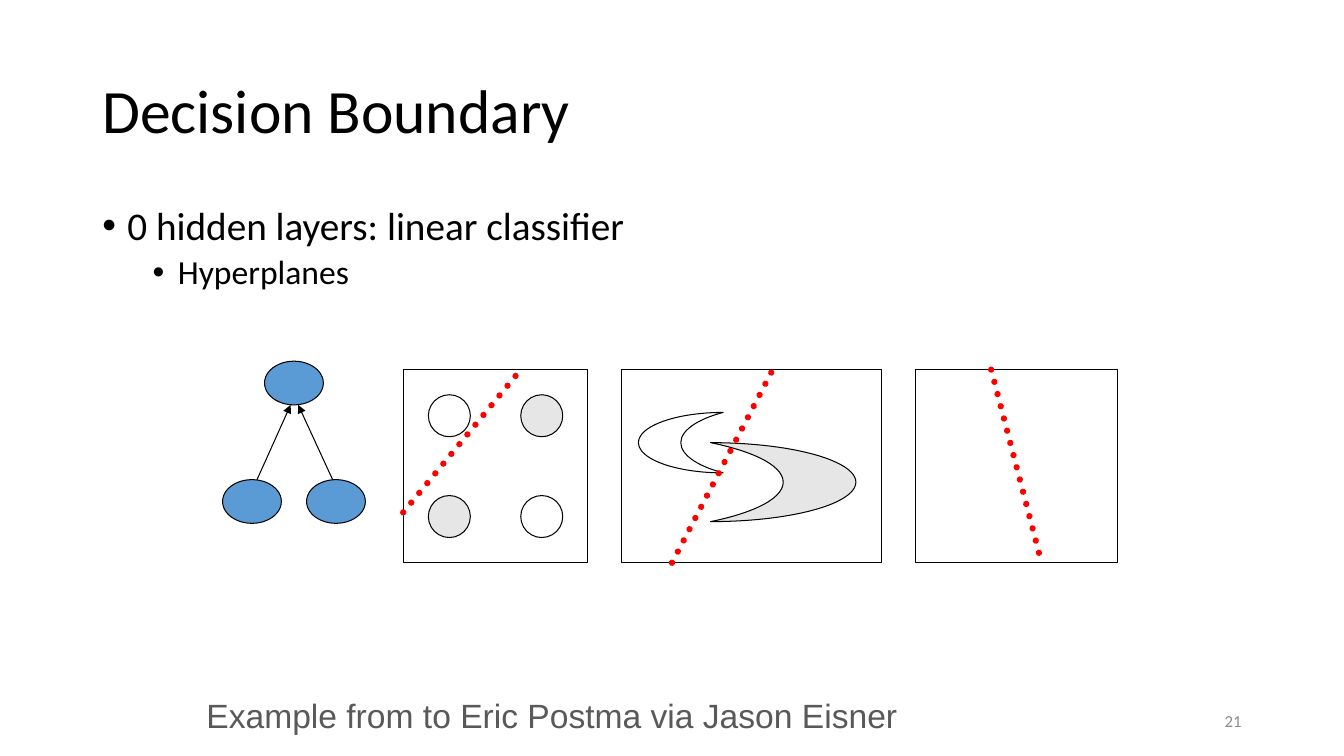
"""Build the decision boundary slide on a grid of twelve cells per inch."""
from dataclasses import dataclass

import pptx
import pptx.dml.color
import pptx.enum.dml
import pptx.enum.shapes
import pptx.enum.text
import pptx.oxml
import pptx.oxml.ns
import pptx.util

RGBColor = pptx.dml.color.RGBColor
Shapes = pptx.enum.shapes.MSO_SHAPE
Anchor = pptx.enum.text.MSO_ANCHOR
Align = pptx.enum.text.PP_ALIGN
Dash = pptx.enum.dml.MSO_LINE

BLACK = RGBColor(0x00, 0x00, 0x00)
WHITE = RGBColor(0xFF, 0xFF, 0xFF)
BLUE = RGBColor(0x5B, 0x9B, 0xD5)
PALE_GRAY = RGBColor(0xE7, 0xE6, 0xE6)
RED = RGBColor(0xFF, 0x00, 0x00)
CREDIT_GRAY = RGBColor(0x59, 0x59, 0x59)
NUMBER_GRAY = RGBColor(0x8C, 0x8C, 0x8C)

COLUMNS, ROWS = 160, 90
PANEL_TOP, PANEL_ROWS = 44, 23
PANEL_BOTTOM = PANEL_TOP + PANEL_ROWS
NEURON_COLUMNS, NEURON_ROWS = 5.2, 7
CIRCLE_SIZE = 5


@dataclass(frozen=True)
class Figure:
    """A preset shape placed in grid cells."""
    kind: Shapes
    column: float
    row: float
    columns: float
    rows: float
    fill: RGBColor | None = None
    rotation: float = 0
    flipped: bool = False


@dataclass(frozen=True)
class Segment:
    """A straight line between two grid points."""
    start: tuple[float, float]
    end: tuple[float, float]
    color: RGBColor = BLACK
    width: float = 0.75
    dotted: bool = False
    arrow: bool = False


@dataclass(frozen=True)
class Line:
    """A paragraph of a text box."""
    text: str
    size: float
    level: int | None = None
    space_before: float = 0


def cells(count: float) -> int:
    """Convert grid cells to a length."""
    return pptx.util.Inches(count / 12)


def neuron(center_column: float, center_row: float) -> Figure:
    """Describe a neuron by its centre."""
    return Figure(Shapes.OVAL, center_column - NEURON_COLUMNS / 2, center_row - NEURON_ROWS / 2,
                  NEURON_COLUMNS, NEURON_ROWS, BLUE, rotation=270)


def panel(column: float, columns: float) -> Figure:
    """Describe an unfilled panel."""
    return Figure(Shapes.RECTANGLE, column, PANEL_TOP, columns, PANEL_ROWS)


def boundary(start: tuple[float, float], end: tuple[float, float]) -> Segment:
    """Describe a dotted decision boundary."""
    return Segment(start, end, RED, 4.5, dotted=True)


def draw_figure(slide: pptx.slide.Slide, figure: Figure) -> None:
    """Draw a preset shape with a thin black outline."""
    shape = slide.shapes.add_shape(figure.kind, cells(figure.column), cells(figure.row),
                                   cells(figure.columns), cells(figure.rows))
    shape.shadow.inherit = False
    shape.rotation = figure.rotation
    if figure.fill is None:
        shape.fill.background()
    else:
        shape.fill.solid()
        shape.fill.fore_color.rgb = figure.fill
    shape.line.color.rgb = BLACK
    shape.line.width = pptx.util.Pt(0.75)
    shape.text_frame.paragraphs[0].font.color.rgb = BLACK
    if figure.flipped:
        shape._element.spPr.xfrm.set("flipH", "1")


def add_child(parent: pptx.oxml.xmlchemy.BaseOxmlElement, tag: str, **attributes: str) -> None:
    """Append a drawing element with attributes."""
    element = pptx.oxml.parse_xml(f"<{tag} {pptx.oxml.ns.nsdecls('a')}/>")
    for name, value in attributes.items():
        element.set(name, value)
    parent.append(element)


def draw_segment(slide: pptx.slide.Slide, segment: Segment) -> None:
    """Draw a straight line, dotted or with an arrowhead."""
    connector = slide.shapes.add_connector(
        pptx.enum.shapes.MSO_CONNECTOR.STRAIGHT,
        *(cells(value) for value in segment.start + segment.end))
    connector.line.color.rgb = segment.color
    connector.line.width = pptx.util.Pt(segment.width)
    if segment.dotted:
        connector.line.dash_style = Dash.ROUND_DOT
        connector.line._ln.prstDash.set("val", "sysDot")
        connector.line._ln.set("cap", "rnd")
    if segment.arrow:
        add_child(connector.line._ln, "a:tailEnd", type="triangle")
    add_child(connector._element.spPr, "a:effectLst")


def add_text(slide: pptx.slide.Slide, lines: list[Line],
             place: tuple[float, float, float, float], *, font: str = "Calibri",
             color: RGBColor = BLACK, anchor: Anchor = Anchor.TOP,
             align: Align = Align.LEFT, spacing: float = 1.0) -> None:
    """Add a text box, with bullets on lines that have a level."""
    frame = slide.shapes.add_textbox(*map(cells, place)).text_frame
    frame.word_wrap = True
    frame.vertical_anchor = anchor
    for index, line in enumerate(lines):
        paragraph = frame.add_paragraph() if index else frame.paragraphs[0]
        paragraph.text = line.text
        paragraph.alignment = align
        paragraph.line_spacing = spacing
        paragraph.space_before = pptx.util.Pt(line.space_before)
        if line.level is not None:
            paragraph.level = line.level
            properties = paragraph._p.get_or_add_pPr()
            properties.set("marL", str(cells(3 + 6 * line.level)))
            properties.set("indent", str(-cells(3)))
            add_child(properties, "a:buFont", typeface="Arial")
            add_child(properties, "a:buChar", char="•")
        paragraph.font.name = font
        paragraph.font.size = pptx.util.Pt(line.size)
        paragraph.font.color.rgb = color


def main() -> None:
    """Build and save the slide."""
    presentation = pptx.Presentation()
    presentation.slide_width = cells(COLUMNS)
    presentation.slide_height = cells(ROWS)
    slide = presentation.slides.add_slide(presentation.slide_layouts[6])

    add_text(slide, [Line("Decision Boundary", 44)], (11, 4.8, 138, 17.4),
             anchor=Anchor.MIDDLE, spacing=0.9)
    add_text(slide, [Line("0 hidden layers: linear classifier", 28, level=0),
                     Line("Hyperplanes", 24, level=1, space_before=5)],
             (11, 24, 138, 57.1), spacing=0.9)

    circles = [Figure(Shapes.OVAL, column, row, CIRCLE_SIZE, CIRCLE_SIZE, fill)
               for row, fills in ((47, (WHITE, PALE_GRAY)), (59, (PALE_GRAY, WHITE)))
               for column, fill in zip((51, 62), fills)]
    moons = [Figure(Shapes.MOON, 76, 49.1, 10.1, 7.2, WHITE),
             Figure(Shapes.MOON, 84.6, 52.7, 17.3, 9.4, PALE_GRAY, flipped=True)]
    drawing = [
        neuron(35, 45.6),
        Segment((30.6, 57.1), (34.6, 48.2), arrow=True),
        Segment((39.6, 57.1), (35.5, 48.2), arrow=True),
        neuron(30, 59.7), neuron(40, 59.7),
        *circles, panel(48, 22),
        *moons, panel(74, 31),
        panel(109, 24),
        boundary((48, 61), (62, PANEL_TOP)),
        boundary((80, PANEL_BOTTOM), (92, PANEL_TOP)),
        boundary((118, PANEL_TOP), (124, PANEL_BOTTOM)),
    ]
    for item in drawing:
        if isinstance(item, Figure):
            draw_figure(slide, item)
        else:
            draw_segment(slide, item)

    add_text(slide, [Line("Example from to Eric Postma via Jason Eisner", 24)],
             (23.4, 82.1, 90.5, 6), font="Arial", color=CREDIT_GRAY)
    add_text(slide, [Line("21", 12)], (113, 83.4, 36, 4.8), color=NUMBER_GRAY,
             anchor=Anchor.MIDDLE, align=Align.RIGHT)
    presentation.save("out.pptx")


if __name__ == "__main__":
    main()
